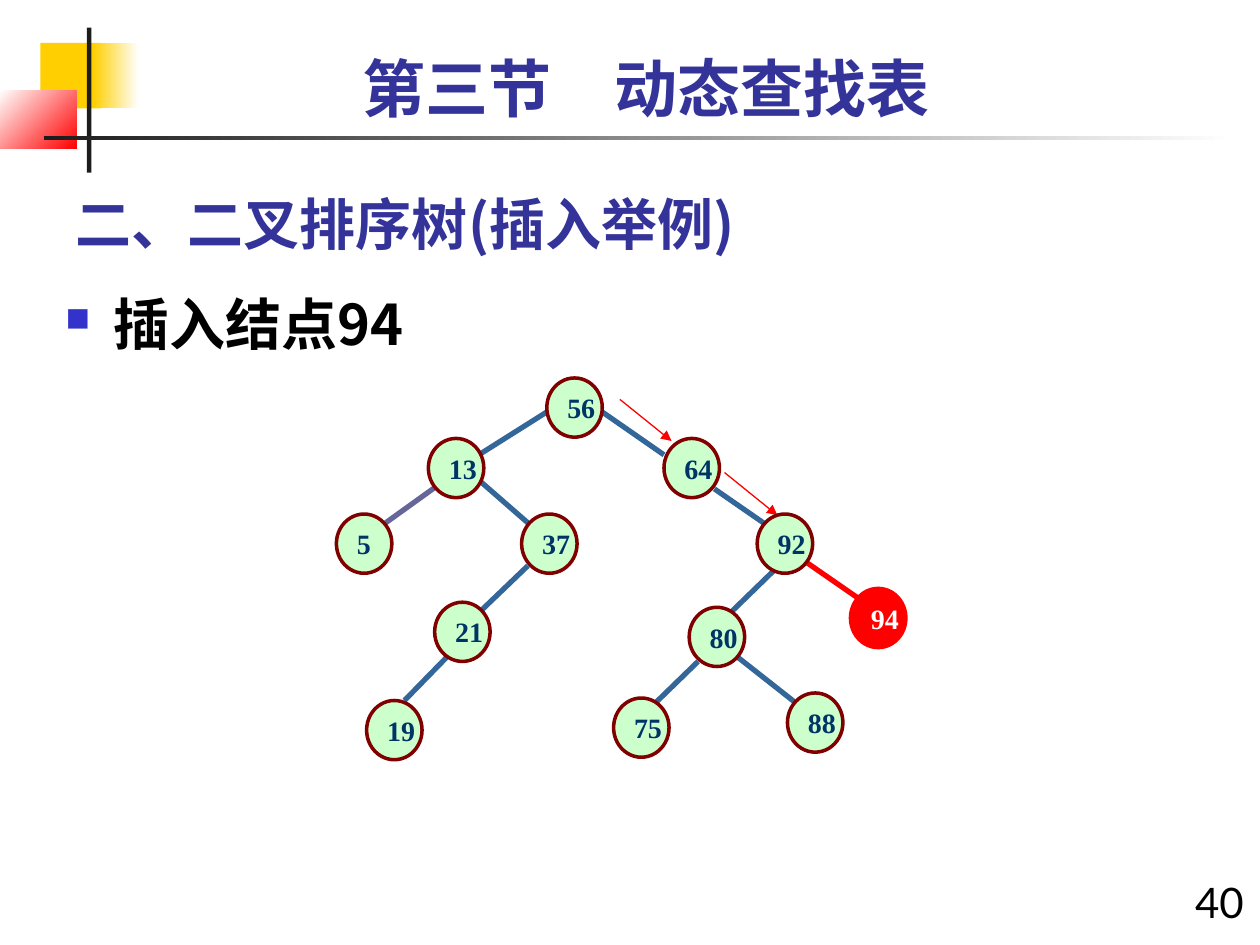
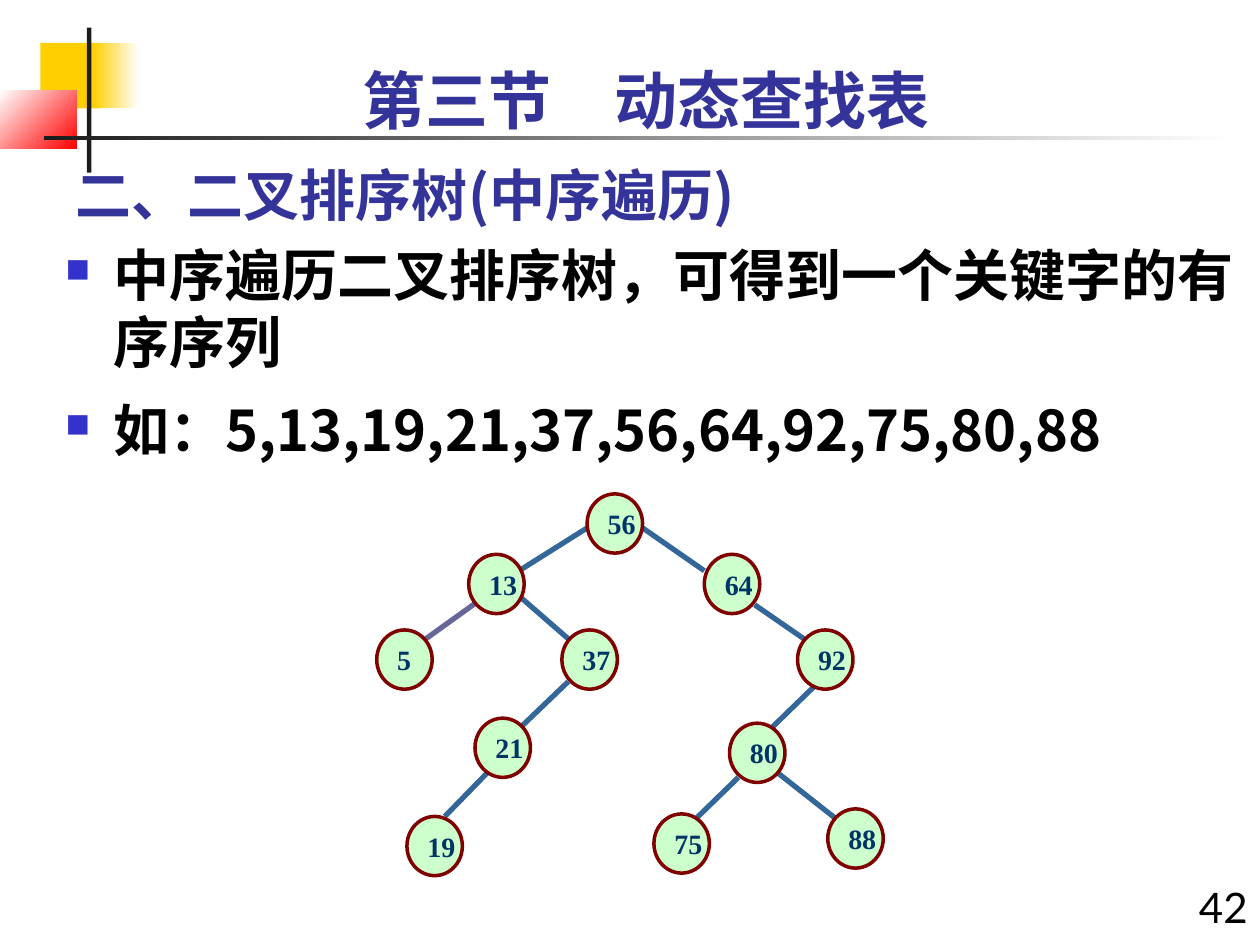
from lxml.etree import SubElement
from pptx import Presentation
from pptx.dml.color import RGBColor
from pptx.enum.shapes import MSO_CONNECTOR, MSO_SHAPE
from pptx.enum.text import MSO_ANCHOR, MSO_AUTO_SIZE, PP_ALIGN
from pptx.oxml.ns import qn
from pptx.util import Inches, Pt

rgb = RGBColor.from_string
NAVY, BLACK, DARK, YELLOW, RED, WHITE = "333399", "000000", "1C1C1C", "FFCF01", "FF0000", "FFFFFF"
NODE_FILL, NODE_LINE, NODE_TEXT = "CCFFCC", "800000", "003366"
EDGE, EDGE_LEFT, BULLET = "336699", "666699", "3333CC"
CJK, LATO, TIMES = "Noto Sans CJK SC", "Lato", "Times New Roman"

prs = Presentation()
prs.slide_width, prs.slide_height = Inches(10), Inches(7.5)
U = prs.slide_width / 100  # the grid has 100 columns and 75 rows


def write(tf, text, size, font, color, bold=True, align=PP_ALIGN.LEFT):
    """Fill a text frame and format all its runs alike."""
    tf.text = text
    for p in tf.paragraphs:
        p.alignment = align
        for r in p.runs:
            r.font.size, r.font.bold = Pt(size), bold
            r.font.color.rgb = rgb(color)
            r.font.name = font
            SubElement(r._r.get_or_add_rPr(), qn("a:ea")).set("typeface", font)


def add_shape(sl, kind, x, y, w, h, fill, fill_to=None, angle=0):
    """Add a flat shape, placed in grid units, with a plain or gradient fill."""
    sp = sl.shapes.add_shape(kind, *[round(v * U) for v in (x, y, w, h)])
    sp.shadow.inherit = False
    sp.line.fill.background()
    if fill_to:
        sp.fill.gradient()
        sp.fill.gradient_angle = angle
        for stop, color in zip(sp.fill.gradient_stops, (fill, fill_to)):
            stop.color.rgb = rgb(color)
    else:
        sp.fill.solid()
        sp.fill.fore_color.rgb = rgb(fill)
    return sp


# Corner ornament and rule: x, y, w, h, colour, end colour, angle
ornament = [
    (3.2, 3.4, 4.8, 5.2, YELLOW),
    (7.4, 3.4, 3.6, 5.2, YELLOW, WHITE),
    (0, 7.2, 6.1, 4.6, WHITE, RED, 315),
    (6.9, 2.2, 0.35, 11.5, DARK),
    (3.5, 10.8, 94.5, 0.35, DARK, WHITE),
]

# Search tree, in grid units
NODE_W, NODE_H = 4.4, 4.7
nodes = {
    56: (43.4, 30), 13: (34, 34.8), 64: (52.7, 34.8),
    5: (26.7, 40.8), 37: (41.4, 40.8), 92: (60.1, 40.8),
    21: (34.5, 47.8), 80: (54.7, 48.2),
    19: (29.1, 55.6), 75: (48.7, 55.4), 88: (62.5, 55),
}
edges = [
    (43.4, 32.7, 38, 36.1), (47.8, 32.7, 52.7, 36.1),
    (38, 38.1, 41.9, 41.5), (41.9, 44.9, 37.1, 49.5),
    (36, 51.6, 32.1, 55.6), (56.7, 38.8, 60.6, 41.5),
    (61.4, 45.3, 57.7, 48.9), (55.4, 52.5, 51.7, 56.1),
    (58.6, 52.2, 63.3, 55.9),
]
tree_lines = [(*edge, EDGE, 3) for edge in edges] + [(34.5, 38.7, 30.6, 41.5, EDGE_LEFT, 3)]

# What differs between the slides
slides = [
    dict(heading="二、二叉排序树(插入举例)", heading_y=13.4, chapter_y=3.4,
         bullets=["插入结点94"], body_y=22.5, body_h=44.2,
         number="40", number_at=(93, 69.1), shift=(0, 0),
         new_nodes={94: (67.5, 46.7)},
         new_lines=[(64.1, 44.7, 68, 47.4, RED, 3),
                    (49.2, 31.7, 53.3, 35, RED, 0.75),
                    (57.5, 37.5, 61.7, 40.9, RED, 0.75)]),
    dict(heading="二、二叉排序树(中序遍历)", heading_y=11.1, chapter_y=4.4,
         bullets=["中序遍历二叉排序树，可得到一个关键字的有序序列",
                  "如：5,13,19,21,37,56,64,92,75,80,88"],
         body_y=18.6, body_h=49.1,
         number="42", number_at=(93.3, 69.5), shift=(3.2, 9.2),
         new_nodes={}, new_lines=[]),
]

for page in slides:
    sl = prs.slides.add_slide(prs.slide_layouts[5])
    for part in ornament:
        add_shape(sl, MSO_SHAPE.RECTANGLE, *part)

    # Section heading
    title = sl.shapes.title
    title.left, title.top, title.width, title.height = [
        round(v * U) for v in (5, page["heading_y"], 62.5, 7.5)]
    tf = title.text_frame
    tf.auto_size, tf.vertical_anchor = MSO_AUTO_SIZE.NONE, MSO_ANCHOR.BOTTOM
    write(tf, page["heading"], 32, CJK, NAVY)

    # Page number, chapter name and bullet list
    texts = [
        (*page["number_at"], 6.7, 5.9, page["number"], 24, LATO, BLACK, False, PP_ALIGN.RIGHT),
        (5, page["chapter_y"], 92.5, 7, "第三节　动态查找表", 36, LATO, NAVY, True, PP_ALIGN.CENTER),
        (4.2, page["body_y"], 95.8, page["body_h"], "\n".join(page["bullets"]), 32, CJK, BLACK),
    ]
    for x, y, w, h, *content in texts:
        tf = sl.shapes.add_textbox(*[round(v * U) for v in (x, y, w, h)]).text_frame
        tf.word_wrap = True
        write(tf, *content)

    # Square bullets on the list, which is the last text box
    for i, p in enumerate(tf.paragraphs):
        pPr = p._p.get_or_add_pPr()
        pPr.set("marL", str(Inches(0.38)))
        pPr.set("indent", str(-Inches(0.38)))
        SubElement(SubElement(pPr, qn("a:buClr")), qn("a:srgbClr")).set("val", BULLET)
        SubElement(pPr, qn("a:buSzPct")).set("val", "60000")
        SubElement(pPr, qn("a:buChar")).set("char", "■")
        if i:
            p.space_before = Pt(12)

    # Tree edges, and thin arrows along the search route
    dx, dy = page["shift"]
    for x1, y1, x2, y2, color, width in tree_lines + page["new_lines"]:
        ends = (x1 + dx, y1 + dy, x2 + dx, y2 + dy)
        cx = sl.shapes.add_connector(MSO_CONNECTOR.STRAIGHT, *[round(v * U) for v in ends])
        cx.line.color.rgb, cx.line.width = rgb(color), Pt(width)
        if width < 1:
            SubElement(cx.line._get_or_add_ln(), qn("a:tailEnd")).set("type", "triangle")
        SubElement(cx._element.spPr, qn("a:effectLst"))

    # Tree nodes cover the edge ends; an inserted one is red
    for key, (x, y) in (nodes | page["new_nodes"]).items():
        fill, line, color = (RED, RED, WHITE) if key in page["new_nodes"] else (
            NODE_FILL, NODE_LINE, NODE_TEXT)
        sp = add_shape(sl, MSO_SHAPE.OVAL, x + dx, y + dy, NODE_W, NODE_H, fill)
        sp.line.color.rgb, sp.line.width = rgb(line), Pt(2)
        tf = sp.text_frame
        tf.word_wrap, tf.vertical_anchor = False, MSO_ANCHOR.MIDDLE
        write(tf, str(key), 16, TIMES, color)

prs.save("out.pptx")
